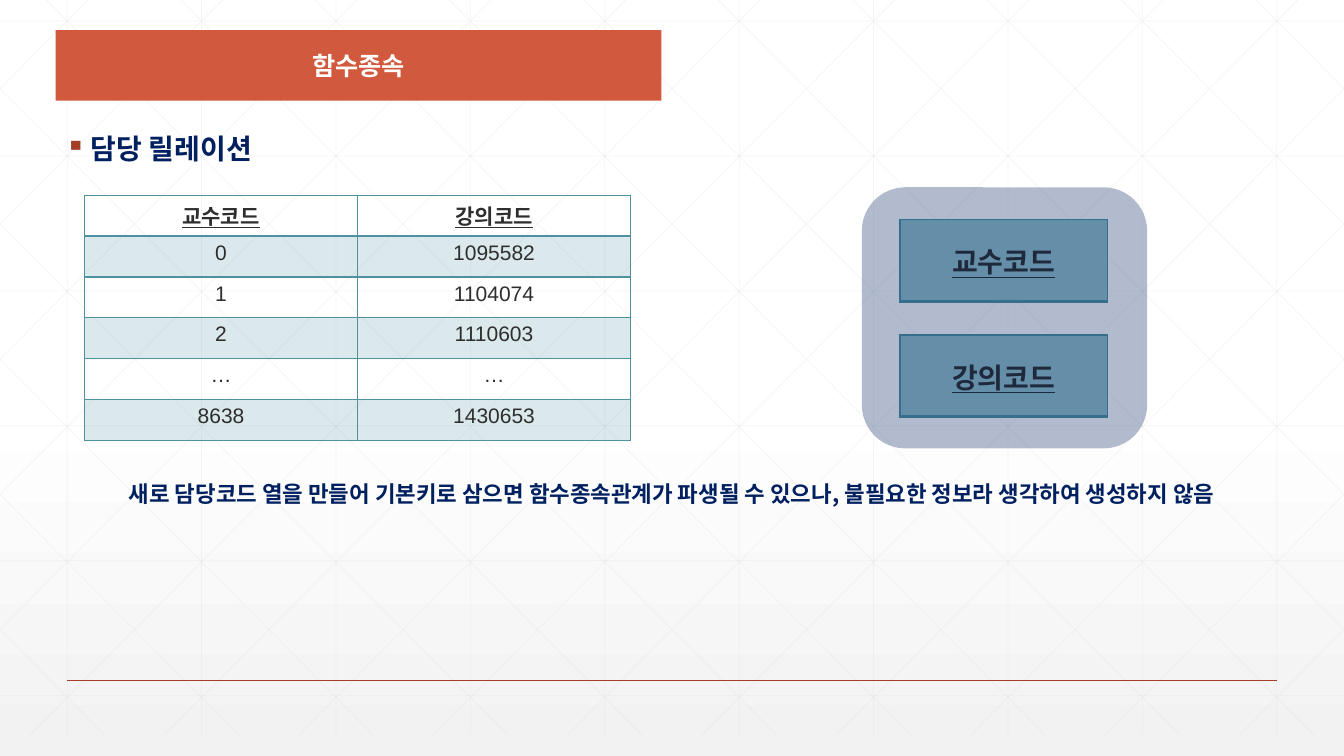
"""Builds a slide on functional dependency with a key table and key boxes."""
from lxml import etree
from pptx import Presentation
from pptx import util as u
from pptx.dml.color import RGBColor
from pptx.enum import shapes, text
from pptx.oxml import ns

TITLE = "함수종속"
HEAD = "담당 릴레이션"
NOTE = "새로 담당코드 열을 만들어 기본키로 삼으면 함수종속관계가 파생될 수 있으나, 불필요한 정보라 생각하여 생성하지 않음"
KEYS = ["교수코드", "강의코드"]
ROWS = [KEYS, ["0", "1095582"], ["1", "1104074"], ["2", "1110603"],
        ["…", "…"], ["8638", "1430653"]]

WHITE = RGBColor(0xFF, 0xFF, 0xFF)
PALE = RGBColor(0xF2, 0xF2, 0xF2)
GRAY = RGBColor(0xD9, 0xD9, 0xD9)
DARK = RGBColor(0x2D, 0x2E, 0x2D)
NAVY = RGBColor(0x00, 0x20, 0x60)
TEAL = RGBColor(0x4F, 0x91, 0xA1)
SKY = RGBColor(0x92, 0xBF, 0xCA)
CORAL = RGBColor(0xD1, 0x5A, 0x3E)
RUST = RGBColor(0xA4, 0x3F, 0x27)

LATIN, HANGUL = "Arial", "Noto Sans CJK KR"
WIDE, HIGH = 33.87, 19.05
STEP = WIDE / 10
TOP, BASE = -0.53, 18.52
RUN = 18.93


def add(node, tag, **attrs):
    return etree.SubElement(node, ns.qn(tag), **attrs)


def fade(node, part):
    color = next(node.iter(ns.qn("a:srgbClr")))
    add(color, "a:alpha", val=str(part * 1000))


def style(para, size, color, face=HANGUL, bold=True, under=False):
    for run in para.runs:
        font = run.font
        font.size, font.bold, font.underline = u.Pt(size), bold, under
        font.name, font.color.rgb = face, color
        add(font._element, "a:ea", typeface=HANGUL)


def wire(slide, ends, color, width, part=100):
    line = slide.shapes.add_connector(
        shapes.MSO_CONNECTOR.STRAIGHT, *[u.Cm(end) for end in ends])
    line.line.color.rgb = color
    line.line.width = u.Pt(width)
    props = line.element.spPr
    if part < 100:
        fade(props, part)
    add(props, "a:effectLst")


def mesh(slide):
    ends = [((i + 0.5) * STEP, TOP, (i + 0.5) * STEP, BASE) for i in range(10)]
    ends += [(0, 0.53 + 3.4 * i, WIDE, 0.53 + 3.4 * i) for i in range(6)]
    slope = (BASE - TOP) / RUN
    slants = []
    for i in range(-5, 10):
        start = 0.64 + i * STEP
        left, right = max(start, 0), min(start + RUN, WIDE)
        slants.append((left, TOP + (left - start) * slope,
                       right, TOP + (right - start) * slope))
    ends += slants
    ends += [(WIDE - a, b, WIDE - c, d) for a, b, c, d in slants]
    for item in ends:
        wire(slide, item, GRAY, 0.5, 25)


def edge(cell, base):
    props = cell._tc.get_or_add_tcPr()
    sides = [("a:lnL", 1), ("a:lnR", 1), ("a:lnT", 1), ("a:lnB", base)]
    for spot, (tag, width) in enumerate(sides):
        line = etree.Element(ns.qn(tag), w=str(u.Pt(width)))
        add(add(line, "a:solidFill"), "a:srgbClr", val=str(TEAL))
        props.insert(spot, line)


def table(slide, rows, left, top, wide, high, size, box=False):
    frame = slide.shapes.add_table(
        len(rows), len(rows[0]), u.Cm(left), u.Cm(top),
        u.Cm(wide * len(rows[0])), u.Cm(high * len(rows)))
    grid = frame.table
    grid.first_row = grid.horz_banding = False
    for col in grid.columns:
        col.width = u.Cm(wide)
    for r, row in enumerate(rows):
        grid.rows[r].height = u.Cm(high)
        for c, word in enumerate(row):
            cell = grid.cell(r, c)
            cell.text_frame.text = word
            para = cell.text_frame.paragraphs[0]
            para.alignment = text.PP_ALIGN.CENTER
            style(para, size, DARK, LATIN, r == 0, r == 0)
            if box:
                cell.vertical_anchor = text.MSO_ANCHOR.MIDDLE
            if box or r % 2:
                cell.fill.solid()
                cell.fill.fore_color.rgb = SKY if box else TEAL
                if not box:
                    fade(cell._tc.tcPr, 20)
            else:
                cell.fill.background()
            edge(cell, 2 if r == 0 else 1)


def block(slide, kind, left, top, wide, high, color):
    shape = slide.shapes.add_shape(
        kind, u.Cm(left), u.Cm(top), u.Cm(wide), u.Cm(high))
    shape.shadow.inherit = False
    shape.fill.solid()
    shape.fill.fore_color.rgb = color
    shape.line.fill.background()
    return shape


def label(slide, words, left, top, wide, size, mark=None):
    box = slide.shapes.add_textbox(
        u.Cm(left), u.Cm(top), u.Cm(wide), u.Cm(1.04))
    box.text_frame.word_wrap = True
    box.text_frame.text = words
    para = box.text_frame.paragraphs[0]
    if mark:
        props = para._p.get_or_add_pPr()
        props.set("marL", str(u.Cm(0.64)))
        props.set("indent", str(u.Cm(-0.64)))
        add(add(props, "a:buClr"), "a:srgbClr", val=str(RUST))
        add(props, "a:buChar", char=mark)
    else:
        para.alignment = text.PP_ALIGN.CENTER
    para.line_spacing = 0.9
    style(para, size, NAVY)


def main():
    deck = Presentation()
    deck.slide_width, deck.slide_height = u.Cm(WIDE), u.Cm(HIGH)
    slide = deck.slides.add_slide(deck.slide_layouts[6])
    back = slide.background.fill
    back.gradient()
    back.gradient_angle = 270
    for stop, spot, color in zip(back.gradient_stops, (0.53, 1), (WHITE, PALE)):
        stop.position, stop.color.rgb = spot, color
    mesh(slide)
    wire(slide, (STEP / 2, 17.15, WIDE - STEP / 2, 17.15), RUST, 1)
    table(slide, ROWS, 2.13, 4.92, 6.88, 1.03, 15)

    kinds = shapes.MSO_SHAPE
    title = block(slide, kinds.RECTANGLE, 1.4, 0.76, 15.27, 1.78, CORAL)
    title.text_frame.text = TITLE
    title.text_frame.vertical_anchor = text.MSO_ANCHOR.MIDDLE
    para = title.text_frame.paragraphs[0]
    para.alignment = text.PP_ALIGN.CENTER
    style(para, 18, WHITE)

    label(slide, HEAD, 1.4, 3.28, 30.71, 20, "▪")
    label(slide, NOTE, 0.91, 12.04, 32.03, 16)
    for i, key in enumerate(KEYS):
        table(slide, [[key]], 22.68, 5.54 + 2.9 * i, 5.23, 2.06, 20, True)
    cover = block(slide, kinds.ROUNDED_RECTANGLE, 21.72, 4.72, 7.19, 6.58, NAVY)
    fade(cover.element.spPr, 30)
    deck.save("out.pptx")


if __name__ == "__main__":
    main()
